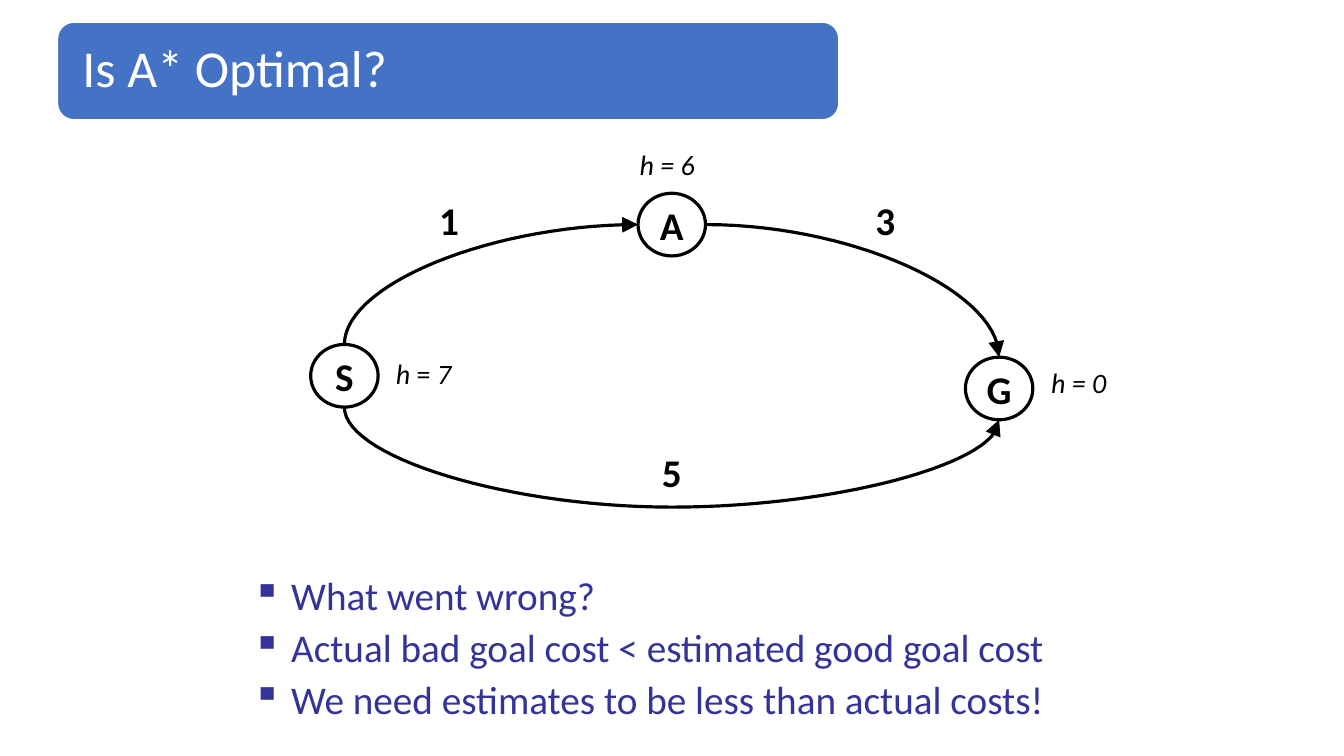
import lxml.etree
import pptx
import pptx.dml.color
import pptx.enum.shapes
import pptx.enum.text
import pptx.oxml.ns
import pptx.util

Cm = pptx.util.Cm
Pt = pptx.util.Pt
qn = pptx.oxml.ns.qn
Align = pptx.enum.text.PP_ALIGN
Anchor = pptx.enum.text.MSO_ANCHOR
Preset = pptx.enum.shapes.MSO_SHAPE
BLACK = pptx.dml.color.RGBColor(0x00, 0x00, 0x00)
WHITE = pptx.dml.color.RGBColor(0xFF, 0xFF, 0xFF)
BLUE = pptx.dml.color.RGBColor(0x44, 0x72, 0xC4)
INDIGO = pptx.dml.color.RGBColor(0x33, 0x33, 0x99)
NODE_WIDTH, NODE_HEIGHT = 1.7, 1.58
LINE_WIDTH = Pt(2.28)
CURVE_STEPS = 30


def add_text(paragraph, text, size=28, color=BLACK, bold=False, italic=False, align=Align.LEFT):
    paragraph.alignment = align
    run = paragraph.add_run()
    run.text = text
    run.font.name = "Calibri"
    run.font.size = Pt(size)
    run.font.bold = bold
    run.font.italic = italic
    run.font.color.rgb = color


def set_frame(shape, inset=0, wrap=False, anchor=Anchor.TOP):
    frame = shape.text_frame
    frame.margin_left = frame.margin_right = Cm(inset)
    frame.margin_top = frame.margin_bottom = 0
    frame.word_wrap = wrap
    frame.vertical_anchor = anchor
    return frame


presentation = pptx.Presentation()
presentation.slide_width = Cm(33.87)
presentation.slide_height = Cm(19.05)
slide = presentation.slides.add_slide(presentation.slide_layouts[6])

banner = slide.shapes.add_shape(Preset.ROUNDED_RECTANGLE, Cm(1.45), Cm(0.56), Cm(19.69), Cm(2.46))
banner.shadow.inherit = False
banner.fill.solid()
banner.fill.fore_color.rgb = BLUE
banner.line.color.rgb = WHITE
banner.line.width = Pt(1)
title = set_frame(banner, inset=0.51, wrap=True, anchor=Anchor.MIDDLE).paragraphs[0]
title.line_spacing = 0.9
add_text(title, "Is A* Optimal?", size=37, color=WHITE)

nodes = {"S": (8.68, 9.47), "A": (16.93, 5.66), "G": (25.18, 9.79)}
for name, (x, y) in nodes.items():
    node = slide.shapes.add_shape(
        Preset.OVAL, Cm(x - NODE_WIDTH / 2), Cm(y - NODE_HEIGHT / 2), Cm(NODE_WIDTH), Cm(NODE_HEIGHT)
    )
    node.shadow.inherit = False
    node.fill.background()
    node.line.color.rgb = BLACK
    node.line.width = LINE_WIDTH
    frame = set_frame(node, anchor=Anchor.MIDDLE)
    add_text(frame.paragraphs[0], name, bold=True, align=Align.CENTER)

start_x, start_y = nodes["S"]
middle_x, middle_y = nodes["A"]
goal_x, goal_y = nodes["G"]
start_top, start_bottom = start_y - NODE_HEIGHT / 2, start_y + NODE_HEIGHT / 2
goal_top, goal_bottom = goal_y - NODE_HEIGHT / 2, goal_y + NODE_HEIGHT / 2
lowest_y = 12.78
edges = [
    [((start_x, start_top), (middle_x - NODE_WIDTH / 2, middle_y), "vertical")],
    [((middle_x + NODE_WIDTH / 2, middle_y), (goal_x, goal_top), "horizontal")],
    [
        ((start_x, start_bottom), (middle_x, lowest_y), "vertical"),
        ((middle_x, lowest_y), (goal_x, goal_bottom), "horizontal"),
    ],
]
for edge in edges:
    points = [edge[0][0]]
    for (x1, y1), (x2, y2), direction in edge:
        corner_x, corner_y = (x1, y2) if direction == "vertical" else (x2, y1)
        for step in range(1, CURVE_STEPS + 1):
            t = step / CURVE_STEPS
            weight_start = (1 - t) ** 3 + 1.5 * t * (1 - t) ** 2
            weight_end = t ** 3 + 1.5 * t ** 2 * (1 - t)
            weight_corner = 1.5 * t * (1 - t)
            points.append((
                weight_start * x1 + weight_corner * corner_x + weight_end * x2,
                weight_start * y1 + weight_corner * corner_y + weight_end * y2,
            ))
    points = [(Cm(x), Cm(y)) for x, y in points]
    builder = slide.shapes.build_freeform(*points[0])
    builder.add_line_segments(points[1:], close=False)
    curve = builder.convert_to_shape()
    curve.shadow.inherit = False
    curve.fill.background()
    curve.line.color.rgb = BLACK
    curve.line.width = LINE_WIDTH
    line = curve.element.spPr.find(qn("a:ln"))
    lxml.etree.SubElement(line, qn("a:tailEnd"), type="triangle", w="lg", len="lg")

for cost, center_x, top in [("1", 11.32, 4.95), ("3", 22.31, 4.95), ("5", 16.93, 11.3)]:
    label = slide.shapes.add_textbox(Cm(center_x - 0.3), Cm(top), Cm(0.6), Cm(1.2))
    add_text(set_frame(label).paragraphs[0], cost, bold=True, align=Align.CENTER)

heuristics = [
    (16.12, 3.71, [("h = 6", True)]),
    (26.49, 9.22, [("h = 0", True)]),
    (9.98, 8.99, [("h ", True), ("= ", False), ("7", True)]),
]
for left, top, parts in heuristics:
    label = slide.shapes.add_textbox(Cm(left), Cm(top), Cm(1.46), Cm(0.9))
    paragraph = set_frame(label).paragraphs[0]
    for text, italic in parts:
        add_text(paragraph, text, size=20, italic=italic)

remarks = [
    "What went wrong?",
    "Actual bad goal cost < estimated good goal cost",
    "We need estimates to be less than actual costs!",
]
remark_box = slide.shapes.add_textbox(Cm(6.35), Cm(14.4), Cm(20.12), Cm(3.9))
frame = set_frame(remark_box, wrap=True)
for index, remark in enumerate(remarks):
    paragraph = frame.add_paragraph() if index else frame.paragraphs[0]
    if index:
        paragraph.space_before = Pt(3.4)
    properties = paragraph._p.get_or_add_pPr()
    properties.set("marL", str(Cm(0.99)))
    properties.set("indent", str(-Cm(0.97)))
    lxml.etree.SubElement(properties, qn("a:buChar"), char="▪")
    add_text(paragraph, remark, color=INDIGO)

presentation.save("out.pptx")
